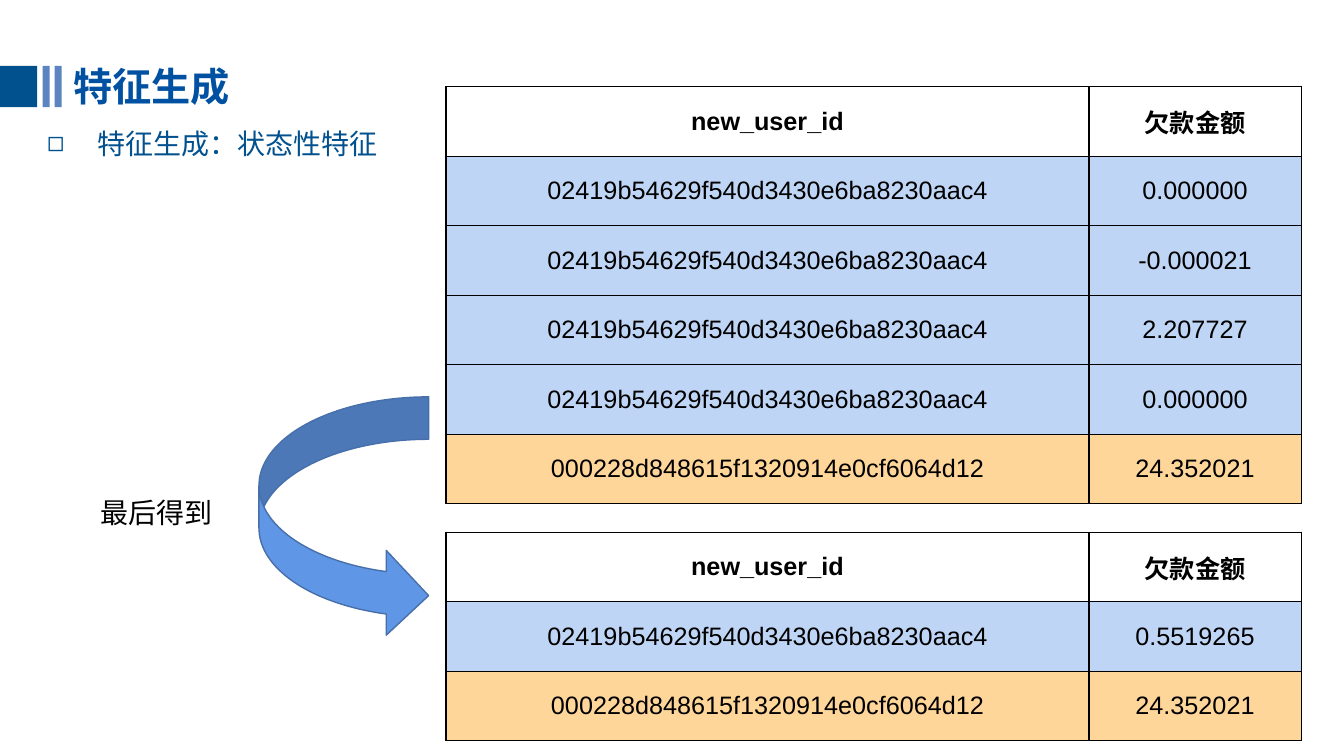
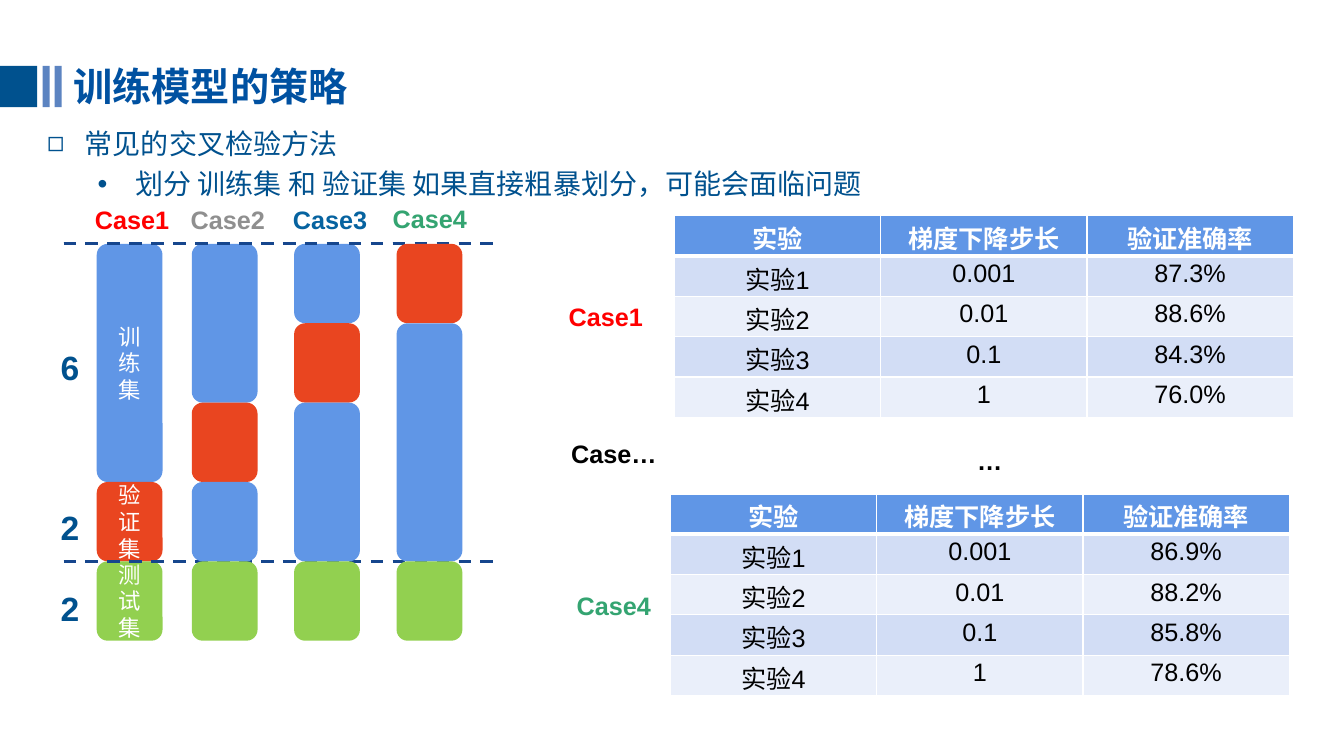
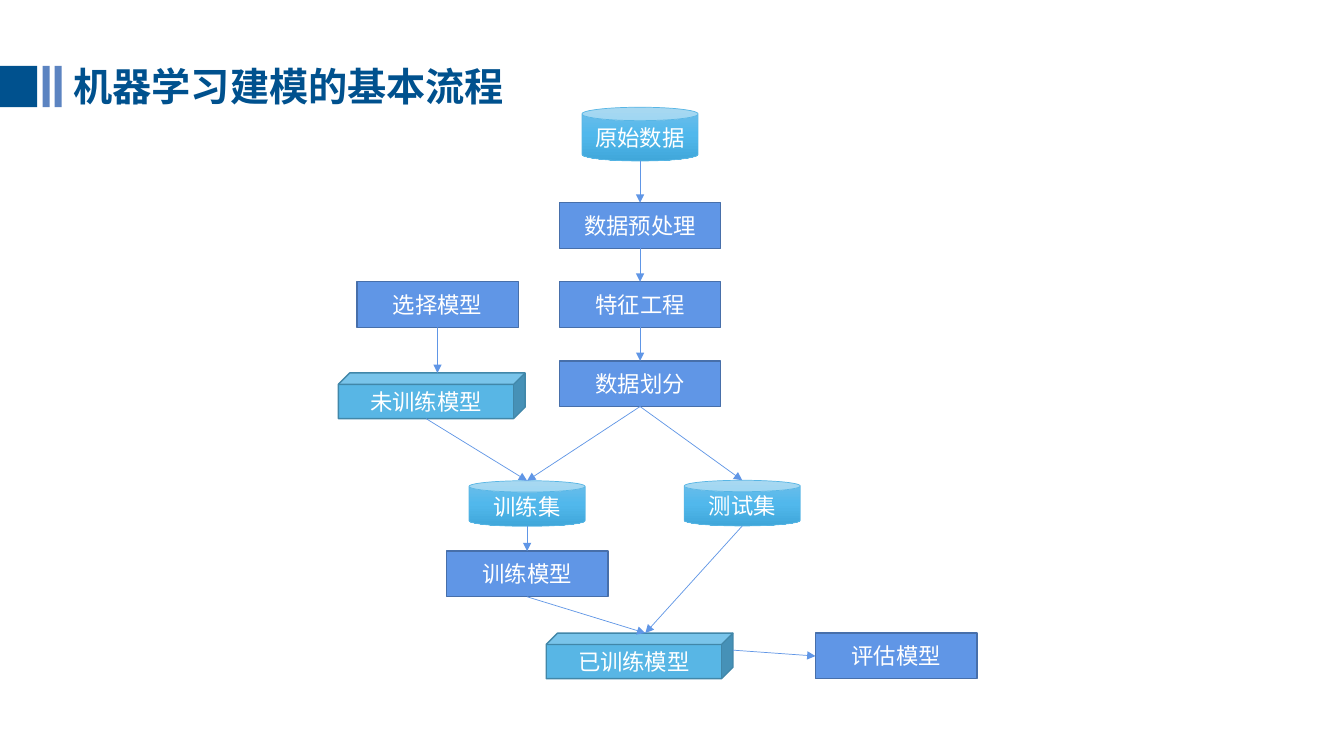
from dataclasses import dataclass
from typing import NamedTuple

from lxml.etree import SubElement
from pptx import Presentation
from pptx.dml.color import RGBColor
from pptx.enum.dml import MSO_LINE
from pptx.enum.shapes import MSO_CONNECTOR, MSO_SHAPE
from pptx.enum.text import MSO_ANCHOR, MSO_AUTO_SIZE, PP_ALIGN
from pptx.oxml.ns import qn
from pptx.util import Pt

COLORS = {
    "navy": "00518E", "title": "0051A1", "stripe": "5C84C1",
    "blue": "6096E6", "blue_edge": "476FAA", "dash": "16468D",
    "pale_blue": "BFD5F5", "pale_orange": "FFD699",
    "band_dark": "D2DDF5", "band_light": "EAEFFA",
    "red": "E94520", "green": "92D050", "sky": "58B6E5", "sky_edge": "4187A9",
    "can_top": "6FBEE9", "can_middle": "51B8EC", "can_bottom": "40A7DA",
    "case1": "FF0000", "case2": "8F8F8F", "case3": "0663A0", "case4": "34A471",
    "black": "000000", "white": "FFFFFF",
}
LATIN, CHINESE = "Arial", "Noto Sans CJK SC"


class Area(NamedTuple):
    left: float
    top: float
    width: float
    height: float


@dataclass(frozen=True)
class Style:
    size: float
    color: str
    bold: bool = False
    font: str = LATIN


@dataclass(frozen=True)
class Bullet:
    text: str
    mark: str
    margin: float
    hanging: float
    level: int = 0


@dataclass(frozen=True)
class Label:
    text: str
    area: Area
    style: Style


@dataclass(frozen=True)
class Node:
    text: str
    kind: str
    center: float
    top: float
    height: float = 32.6


@dataclass(frozen=True)
class TableLook:
    widths: tuple
    row_height: float
    border: str
    head_fill: str | None
    head_text: str
    head_rule: float
    anchor: MSO_ANCHOR
    margin_top: float
    margin_bottom: float


def rgb(name: str) -> RGBColor:
    return RGBColor.from_string(COLORS[name])


def points(area: Area) -> list:
    return [Pt(value) for value in area]


# Text
def add_span(para, text: str, style: Style) -> None:
    span = para.add_run()
    span.text = text
    font = span.font
    font.size, font.bold, font.name = Pt(style.size), style.bold, style.font
    font.color.rgb = rgb(style.color)
    if any(letter > "\u2e80" for letter in text):
        SubElement(span._r.get_or_add_rPr(), qn("a:ea"), typeface=CHINESE)


def add_frame(page, area: Area):
    frame = page.shapes.add_textbox(*points(area)).text_frame
    frame.word_wrap = True
    frame.auto_size = MSO_AUTO_SIZE.SHAPE_TO_FIT_TEXT
    return frame


def add_label(page, label: Label) -> None:
    para = add_frame(page, label.area).paragraphs[0]
    para.alignment, para.line_spacing = PP_ALIGN.CENTER, 1.2
    add_span(para, label.text, label.style)


def add_bullets(page, area: Area, bullets: list[Bullet]) -> None:
    frame = add_frame(page, area)
    for index, bullet in enumerate(bullets):
        para = frame.add_paragraph() if index else frame.paragraphs[0]
        para.level, para.line_spacing = bullet.level, 1.2
        properties = para._p.get_or_add_pPr()
        properties.set("marL", str(Pt(bullet.margin)))
        properties.set("indent", str(Pt(-bullet.hanging)))
        SubElement(properties, qn("a:buFont"), typeface=LATIN)
        SubElement(properties, qn("a:buChar"), char=bullet.mark)
        add_span(para, bullet.text, Style(20, "navy"))


# Shapes and lines
def add_box(page, preset: MSO_SHAPE, area: Area, fill: str,
            edge: str | None = None, edge_width: float = 1):
    box = page.shapes.add_shape(preset, *points(area))
    box.shadow.inherit = False
    box.fill.solid()
    box.fill.fore_color.rgb = rgb(fill)
    if edge:
        box.line.color.rgb = rgb(edge)
        box.line.width = Pt(edge_width)
    else:
        box.line.fill.background()
    return box


def center_text(box, text: str, style: Style):
    frame = box.text_frame
    frame.word_wrap, frame.vertical_anchor = True, MSO_ANCHOR.MIDDLE
    para = frame.paragraphs[0]
    para.alignment = PP_ALIGN.CENTER
    add_span(para, text, style)
    return para


def shade(box, names: tuple) -> None:
    box.fill.gradient()
    box.fill.gradient_angle = 270
    stops = box._element.spPr.find(qn("a:gradFill")).find(qn("a:gsLst"))
    for stop in list(stops):
        stops.remove(stop)
    for index, name in enumerate(names):
        position = 100000 * index // (len(names) - 1)
        stop = SubElement(stops, qn("a:gs"), pos=str(position))
        SubElement(stop, qn("a:srgbClr"), val=COLORS[name])


def add_line(page, start: tuple, end: tuple, color: str, width: float):
    line = page.shapes.add_connector(
        MSO_CONNECTOR.STRAIGHT, *(Pt(value) for value in (*start, *end)))
    line.line.color.rgb = rgb(color)
    line.line.width = Pt(width)
    SubElement(line._element.spPr, qn("a:effectLst"))
    return line


# Tables
def set_borders(cell, color: str, bottom: float) -> None:
    properties = cell._tc.get_or_add_tcPr()
    for side, width in (("L", 1), ("R", 1), ("T", 1), ("B", bottom)):
        line = SubElement(properties, qn(f"a:ln{side}"), w=str(Pt(width)))
        fill = SubElement(line, qn("a:solidFill"))
        SubElement(fill, qn("a:srgbClr"), val=COLORS[color])


def add_grid(page, left: float, top: float, rows: list[tuple],
             fills: list[str], look: TableLook) -> None:
    area = Area(left, top, sum(look.widths), look.row_height * len(rows))
    table = page.shapes.add_table(
        len(rows), len(look.widths), *points(area)).table
    table.first_row = table.horz_banding = False
    for column, width in zip(table.columns, look.widths):
        column.width = Pt(width)
    for index, (row, values) in enumerate(zip(table.rows, rows)):
        row.height = Pt(look.row_height)
        head = index == 0
        fill = look.head_fill if head else fills[index - 1]
        style = Style(18, look.head_text if head else "black", head)
        for cell, value in zip(row.cells, values):
            set_borders(cell, look.border, look.head_rule if head else 1)
            if fill:
                cell.fill.solid()
                cell.fill.fore_color.rgb = rgb(fill)
            else:
                cell.fill.background()
            cell.vertical_anchor = look.anchor
            cell.margin_top = Pt(look.margin_top)
            cell.margin_bottom = Pt(look.margin_bottom)
            para = cell.text_frame.paragraphs[0]
            para.alignment = PP_ALIGN.CENTER
            add_span(para, value, style)


# Shared page: title and the three bars beside it
def add_page(deck, title: str, color: str = "title", width: float = 393):
    page = deck.slides.add_slide(deck.slide_layouts[6])
    frame = add_frame(page, Area(45.4, 41, width, 41))
    add_span(frame.paragraphs[0], title, Style(28, color, True, CHINESE))
    for left, bar, fill in ((0, 26.6, "navy"), (30.5, 5, "stripe"),
                            (39.1, 5, "stripe")):
        add_box(page, MSO_SHAPE.RECTANGLE, Area(left, 47, bar, 29.5), fill)
    return page


# Slide 1: amounts before and after averaging
def build_features(deck) -> None:
    page = add_page(deck, "特征生成")
    add_bullets(page, Area(26.6, 82.1, 873.4, 33.8),
                [Bullet("特征生成：状态性特征", "◻", 36, 36)])
    look = TableLook((459.2, 151.6), 49.65, "black", None, "black", 1,
                     MSO_ANCHOR.MIDDLE, 3.6, 3.6)
    head = ("new_user_id", "欠款金额")
    user = "02419b54629f540d3430e6ba8230aac4"
    other = ("000228d848615f1320914e0cf6064d12", "24.352021")
    amounts = ("0.000000", "-0.000021", "2.207727", "0.000000")
    for top, values in ((61.9, amounts), (380.2, ("0.5519265",))):
        rows = [head, *((user, value) for value in values), other]
        fills = ["pale_blue"] * len(values) + ["pale_orange"]
        add_grid(page, 318.6, top, rows, fills, look)
    caption = add_frame(page, Area(64.8, 350.6, 100.8, 31.7))
    add_span(caption.paragraphs[0], "最后得到", Style(20, "black"))
    add_box(page, MSO_SHAPE.CURVED_RIGHT_ARROW,
            Area(185, 283.5, 121.2, 172.3), "blue", "blue_edge")


# Slide 2: cross-validation splits and results
def build_validation(deck) -> None:
    page = add_page(deck, "训练模型的策略")
    add_bullets(page, Area(26.6, 82.1, 681.1, 62.6), [
        Bullet("常见的交叉检验方法", "◻", 27, 27),
        Bullet("划分 训练集 和 验证集 如果直接粗暴划分，可能会面临问题",
               "•", 63, 27, 1)])

    top, unit, width = 174.2, 56.7, 47
    dash_left, dash_right = 45.4, 352.1
    names = {"blue": "训练集", "red": "验证集", "green": "测试集"}

    def add_dash(y: float, right: float) -> None:
        line = add_line(page, (dash_left, y), (right, y), "dash", 2.25)
        line.line.dash_style = MSO_LINE.DASH

    # Each split lists its blocks from the top, in units
    splits = (
        (69.1, (("blue", 3), ("red", 1), ("green", 1))),
        (137, (("blue", 2), ("red", 1), ("blue", 1), ("green", 1))),
        (210.1, (("blue", 1), ("red", 1), ("blue", 2), ("green", 1))),
        (283.3, (("red", 1), ("blue", 3), ("green", 1))),
    )
    for index, (left, blocks) in enumerate(splits):
        y = top
        for fill, units in blocks:
            box = add_box(page, MSO_SHAPE.ROUNDED_RECTANGLE,
                          Area(left, y, width, units * unit), fill)
            if index == 0:
                para = center_text(box, names[fill],
                                   Style(16, "white", font=CHINESE))
                para.line_spacing = Pt(19.2)
            y += units * unit
        if index == 0:
            add_dash(top, dash_right)
            add_dash(top + 4 * unit, dash_right)
    add_dash(top, 285.1)

    # Results
    look = TableLook((147.4,) * 3, 28.8, "white", "blue", "white", 3,
                     MSO_ANCHOR.TOP, 2.7, 0)
    steps = ("0.001", "0.01", "0.1", "1")
    results = (
        (481.7, 154.1, ("87.3%", "88.6%", "84.3%", "76.0%")),
        (478.8, 352.8, ("86.9%", "88.2%", "85.8%", "78.6%")),
    )
    for left, table_top, rates in results:
        rows = [("实验", "梯度下降步长", "验证准确率")]
        rows += [(f"实验{number}", step, rate) for number, (step, rate)
                 in enumerate(zip(steps, rates), 1)]
        add_grid(page, left, table_top, rows,
                 ["band_dark", "band_light"] * 2, look)

    # Labels
    captions = (
        ("Case1", 45.4, 138.2, "case1"), ("Case2", 113.8, 138.2, "case2"),
        ("Case3", 186.8, 138.2, "case3"), ("Case4", 258, 137.2, "case4"),
        ("…", 658.1, 310.3, "black"), ("Case1", 383.8, 207.4, "case1"),
        ("Case4", 389.5, 414, "case4"), ("Case…", 389.5, 305.3, "black"),
    )
    for text, left, y, color in captions:
        add_label(page, Label(text, Area(left, y, 97.9, 31),
                              Style(18, color, True)))
    for text, y in (("6", 238.3), ("2", 352.8), ("2", 410.4)):
        add_label(page, Label(text, Area(26.6, y, 46.8, 38.9),
                              Style(24, "navy", True)))


# Slide 3: modelling flow
NODE_KINDS = {
    "step": (MSO_SHAPE.RECTANGLE, 115.4, "blue", "blue_edge", 1),
    "data": (MSO_SHAPE.CAN, 83, "sky", "sky", 0.5),
    "model": (MSO_SHAPE.CUBE, 133.4, "sky", "sky_edge", 1),
}
NODES = {
    "prepare": Node("数据预处理", "step", 457.2, 144.8),
    "features": Node("特征工程", "step", 457.2, 201.3),
    "split": Node("数据划分", "step", 457.2, 257.8),
    "train": Node("训练模型", "step", 376.5, 393.7),
    "train_set": Node("训练集", "data", 376.5, 343.4),
    "test_set": Node("测试集", "data", 530.2, 343.1),
    "choose": Node("选择模型", "step", 312.6, 201.3),
    "raw": Node("原始数据", "data", 457.2, 76.6, 38.4),
    "trained": Node("已训练模型", "model", 456.9, 452.2),
    "untrained": Node("未训练模型", "model", 308.4, 266.4),
    "evaluate": Node("评估模型", "step", 640.2, 452.3),
}
TOP, LEFT, BOTTOM, RIGHT = range(4)
FLOWS = [(start, BOTTOM, end, TOP) for start, end in (
    ("raw", "prepare"), ("prepare", "features"), ("features", "split"),
    ("split", "train_set"), ("split", "test_set"), ("untrained", "train_set"),
    ("choose", "untrained"), ("train_set", "train"), ("test_set", "trained"),
    ("train", "trained"))] + [("trained", RIGHT, "evaluate", LEFT)]


def side_point(node: Node, side: int) -> tuple:
    """Middle of a side; a cube's faces are shifted by its depth."""
    half = NODE_KINDS[node.kind][1] / 2
    depth = node.height / 4 if node.kind == "model" else 0
    return {
        TOP: (node.center + depth / 2, node.top),
        LEFT: (node.center - half, node.top + (node.height + depth) / 2),
        BOTTOM: (node.center - depth / 2, node.top + node.height),
        RIGHT: (node.center + half, node.top + (node.height - depth) / 2),
    }[side]


def build_flow(deck) -> None:
    page = add_page(deck, "机器学习建模的基本流程", "navy", 454.3)
    boxes = {}
    for name, node in NODES.items():
        preset, width, fill, edge, edge_width = NODE_KINDS[node.kind]
        area = Area(node.center - width / 2, node.top, width, node.height)
        box = add_box(page, preset, area, fill, edge, edge_width)
        if node.kind == "data":
            shade(box, ("can_top", "can_middle", "can_bottom"))
        center_text(box, node.text, Style(16, "white"))
        boxes[name] = box
    for start, start_side, end, end_side in FLOWS:
        arrow = add_line(page, side_point(NODES[start], start_side),
                         side_point(NODES[end], end_side), "blue", 0.5)
        SubElement(arrow.line._get_or_add_ln(), qn("a:tailEnd"),
                   type="triangle")
        if NODES[start].kind == "step":
            arrow.begin_connect(boxes[start], start_side)
        if NODES[end].kind == "step":
            arrow.end_connect(boxes[end], end_side)


def main() -> None:
    deck = Presentation()
    deck.slide_width, deck.slide_height = Pt(960), Pt(540)
    build_features(deck)
    build_validation(deck)
    build_flow(deck)
    deck.save("out.pptx")


if __name__ == "__main__":
    main()
